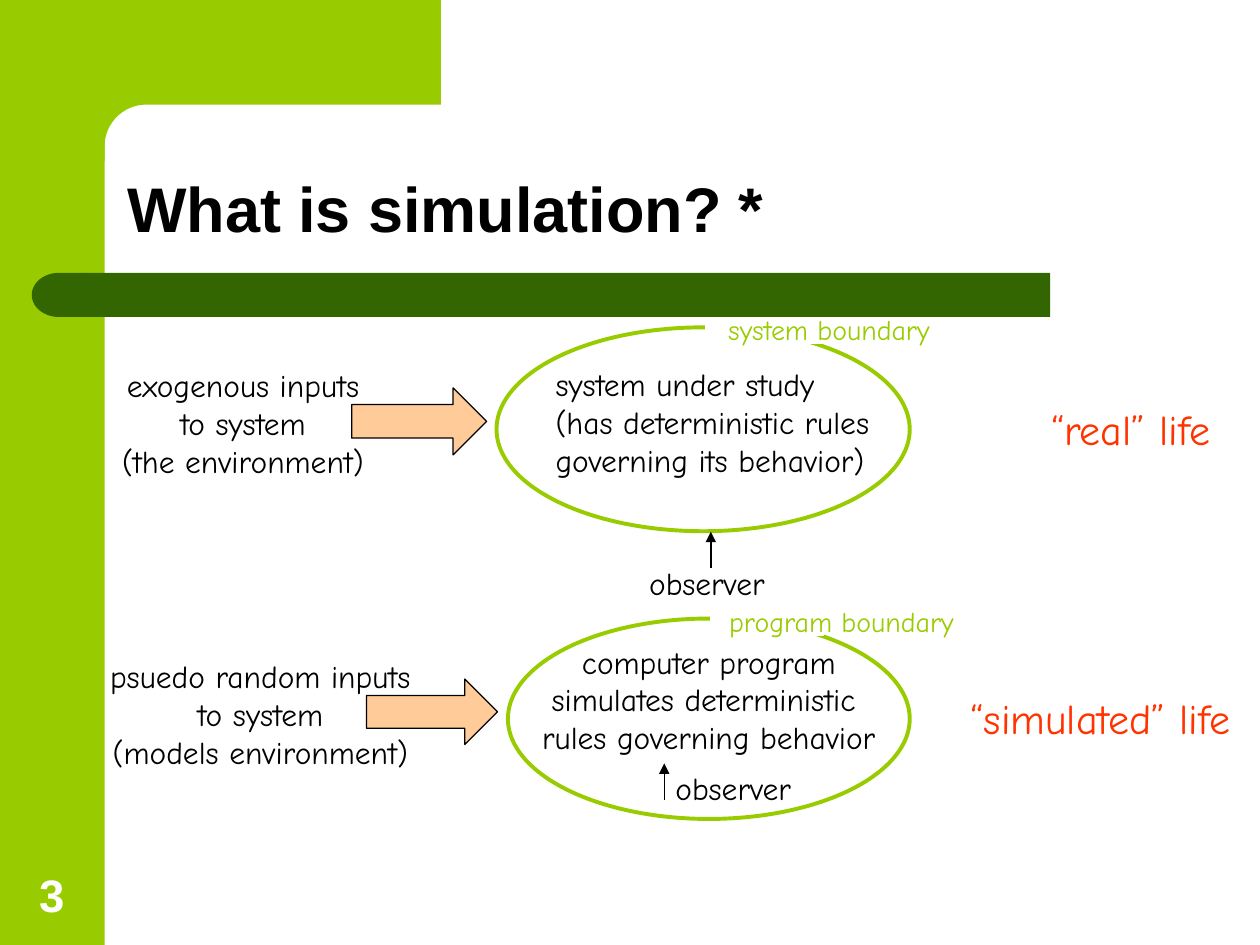
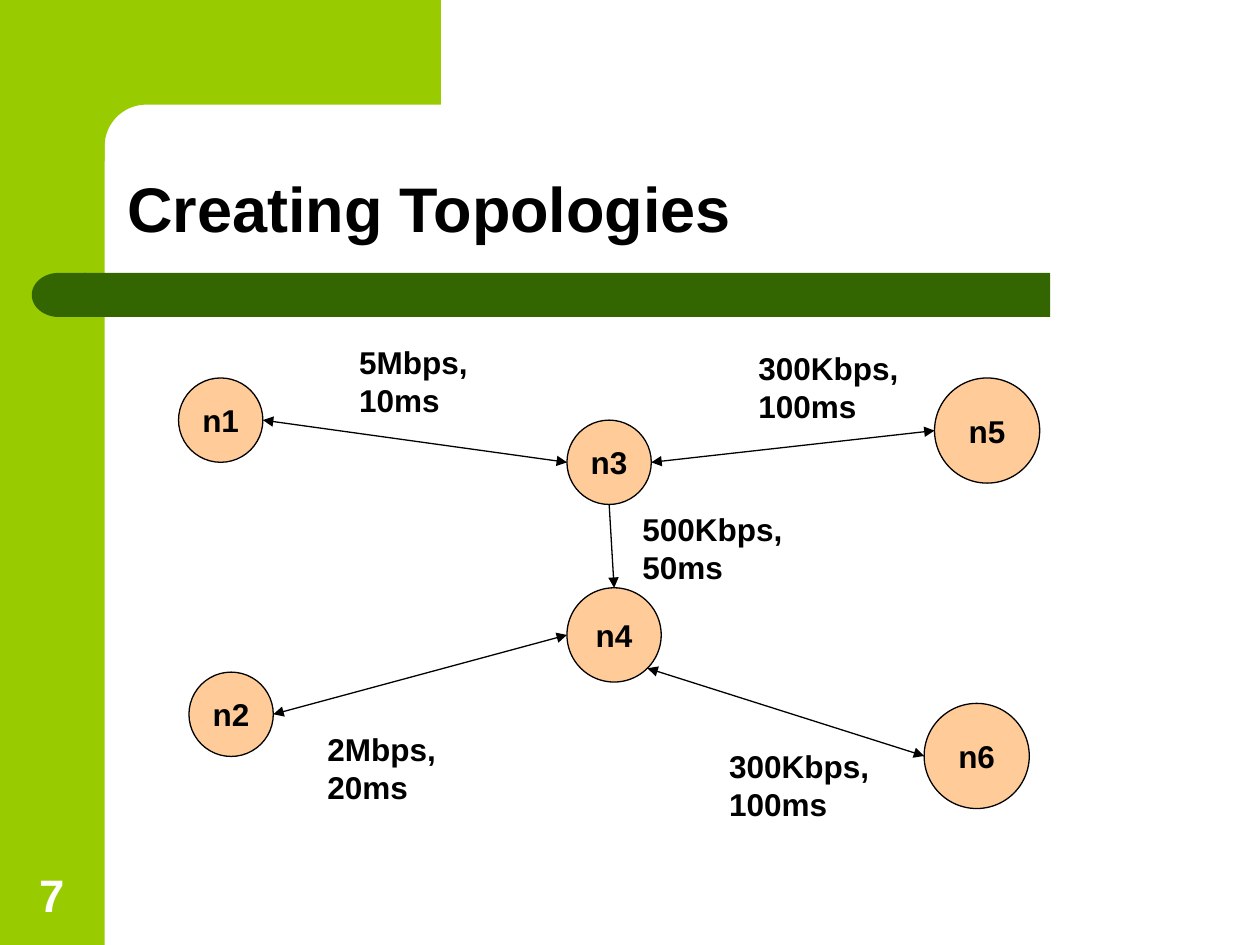
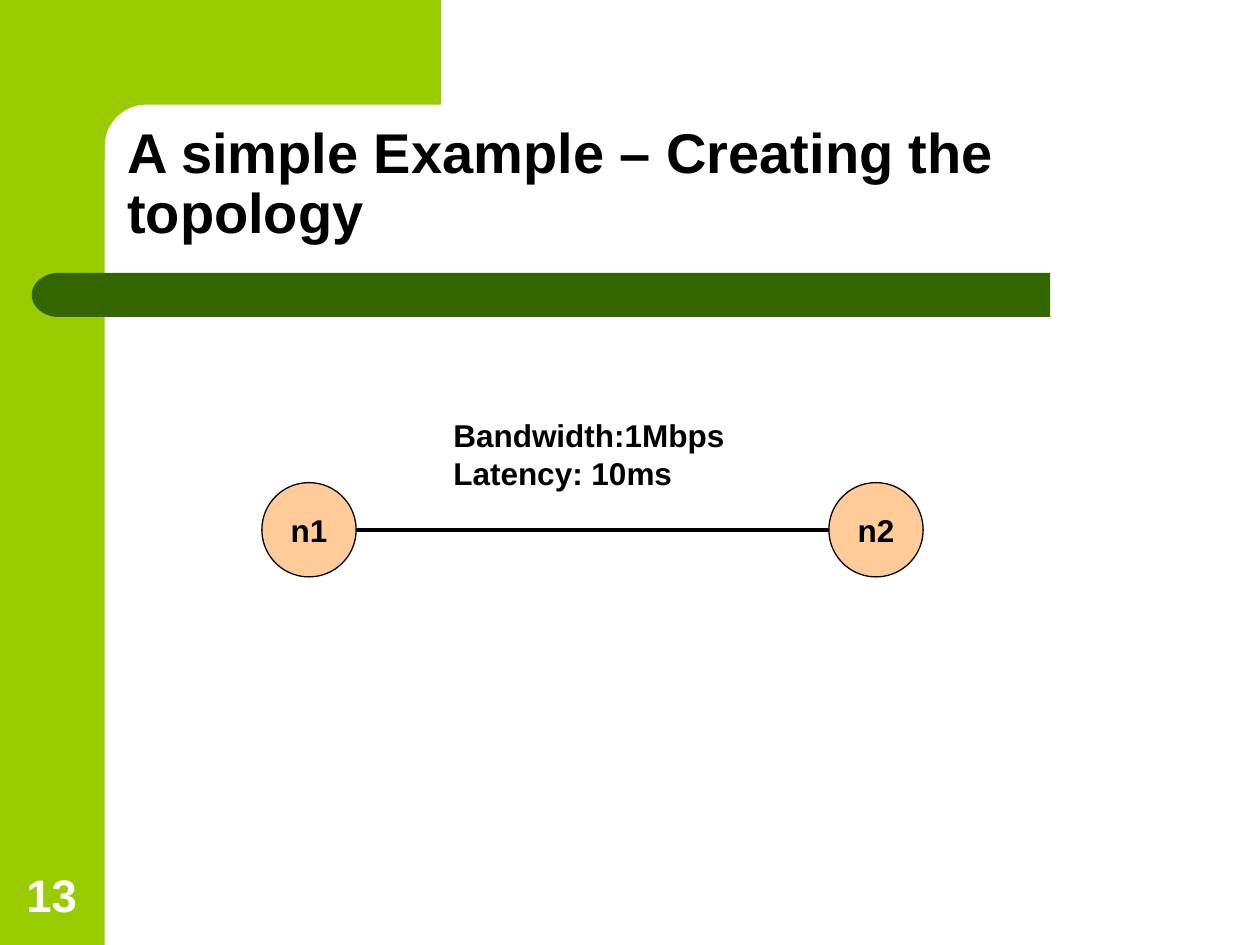
from math import cos, radians, sin

from lxml.etree import SubElement
from pptx import Presentation
from pptx.dml.color import RGBColor
from pptx.enum.shapes import MSO_CONNECTOR as Connector, MSO_SHAPE as Shape
from pptx.enum.text import MSO_ANCHOR as Anchor, MSO_AUTO_SIZE as AutoSize, PP_ALIGN as Align
from pptx.oxml.ns import qn
from pptx.util import Cm, Pt

# Shared look
LIME, FOREST, PEACH, RED = "99CC00", "336600", "FFCC99", "FF3300"
BLACK, WHITE = "000000", "FFFFFF"
HAND = {"name": "Comic Neue", "size": Pt(18), "bold": False}
PLAIN = {"name": "Arial", "size": Pt(18), "bold": True}
TITLE_BOX = (2.31, 2.31, 21.62, 2.77)
NUMBER_BOX = (0.23, 17.35, 1.63, 1.35)


def color(hex_value):
    return RGBColor.from_string(hex_value)


def apply(target, formats):
    for attribute, value in formats.items():
        setattr(target, attribute, value)


def within(box, part):
    """Shift a part's left and top by the corner of its region."""
    return (box[0] + part[0], box[1] + part[1], *part[2:])


def write(frame, text, font, hex_value=BLACK, align=Align.LEFT, spacing=None, **layout):
    frame.text = text
    apply(frame, {"auto_size": AutoSize.NONE, "word_wrap": False, **layout})
    for paragraph in frame.paragraphs:
        apply(paragraph, {"alignment": align, "line_spacing": spacing})
        apply(paragraph.font, font)
        paragraph.font.color.rgb = color(hex_value)


def add_text(slide, box, text, font, hex_value=BLACK, align=Align.LEFT, **layout):
    frame = slide.shapes.add_textbox(*map(Cm, box)).text_frame
    write(frame, text, font, hex_value, align, **layout)


def paint(shape, fill, line=None, width=0.75):
    shape.shadow.inherit = False
    shape.fill.solid()
    shape.fill.fore_color.rgb = color(fill)
    if line:
        shape.line.color.rgb = color(line)
        shape.line.width = Pt(width)
    else:
        shape.line.fill.background()
    return shape


def add_shape(slide, kind, box, fill, line=None, width=0.75):
    return paint(slide.shapes.add_shape(kind, *map(Cm, box)), fill, line, width)


def add_line(slide, start, end, width=0.75, heads=("tailEnd",)):
    connector = slide.shapes.add_connector(Connector.STRAIGHT, *map(Cm, (*start, *end)))
    connector.line.color.rgb = color(BLACK)
    connector.line.width = Pt(width)
    outline = connector.line._get_or_add_ln()
    for head in heads:
        SubElement(outline, qn(f"a:{head}"), type="triangle")
    SubElement(connector.element.spPr, qn("a:effectLst"))


# Frame of every slide: side band, rounded corner and title bar, kept in the layout
def move_frame_to_layout(slide):
    radius, inner, band_bottom = 0.84, 2.11, 2.11
    centre = inner + radius
    arc = [(centre - radius * sin(radians(a)), centre - radius * cos(radians(a)))
           for a in range(0, 91, 6)]
    outline = [(8.89, 0), (8.89, band_bottom), *arc, (inner, 3.25), (1.27, 3.25), (1.27, 0)]
    points = [(Cm(x), Cm(y)) for x, y in outline]
    builder = slide.shapes.build_freeform(*points[0])
    builder.add_line_segments(points[1:], close=True)

    bar_end = add_shape(slide, Shape.FLOWCHART_DELAY, (0.64, 5.5, 1.09, 0.89), FOREST)
    bar_end.rotation = 180
    frame = [
        add_shape(slide, Shape.RECTANGLE, (0, 0, inner, 19.05), LIME),
        paint(builder.convert_to_shape(), LIME),
        add_shape(slide, Shape.RECTANGLE, (1.7, 5.5, 19.47, 0.89), FOREST),
        bar_end,
    ]
    layout_tree = slide.slide_layout.shapes.element
    for position, part in enumerate(frame, start=2):
        layout_tree.insert(position, part.element)


def start_slide(deck, title, number, title_size=36):
    slide = deck.slides.add_slide(deck.slide_layouts[5])
    heading = slide.shapes.title
    apply(heading, dict(zip(("left", "top", "width", "height"), map(Cm, TITLE_BOX))))
    write(heading.text_frame, title, PLAIN | {"size": Pt(title_size)}, spacing=0.9,
          word_wrap=True, vertical_anchor=Anchor.BOTTOM)
    add_text(slide, NUMBER_BOX, number, PLAIN | {"size": Pt(26)}, WHITE, Align.CENTER,
             word_wrap=True, vertical_anchor=Anchor.BOTTOM)
    return slide


# Inputs flowing into a bounded system that is being observed
def add_scenario(slide, box, places, texts, rules_align):
    at = {part: within(box, place) for part, place in places.items()}
    add_shape(slide, Shape.OVAL, at["system"], WHITE, LIME, 2.25)
    add_text(slide, at["rules"], texts["rules"], HAND, align=rules_align)
    add_shape(slide, Shape.RIGHT_ARROW, at["flow"], PEACH, BLACK)
    add_text(slide, at["inputs"], texts["inputs"], HAND, align=Align.CENTER)
    add_shape(slide, Shape.RECTANGLE, at["gap"], WHITE, WHITE)
    add_text(slide, at["boundary"], texts["boundary"], HAND | {"size": Pt(16)}, LIME)
    x, y = at["pointer"]
    add_line(slide, (x, y + 0.74), (x, y))
    add_text(slide, at["observer"], "observer", HAND, align=Align.CENTER)
    add_text(slide, at["life"], texts["life"], HAND | {"size": Pt(24)}, RED, Align.CENTER)


# Round nodes joined by links; each link end is an angle on the node's rim
def add_network(slide, box, nodes, links, labels, width=0.75):
    for name, (x, y, size) in nodes.items():
        node = add_shape(slide, Shape.OVAL, within(box, (x, y, size, size)), PEACH, BLACK)
        write(node.text_frame, name, PLAIN, align=Align.CENTER, vertical_anchor=Anchor.MIDDLE)

    def rim(name, angle):
        x, y, size = nodes[name]
        radius, turn = size / 2, radians(angle)
        return within(box, (x + radius * (1 + cos(turn)), y + radius * (1 + sin(turn))))

    for start, end, heads in links:
        add_line(slide, rim(*start), rim(*end), width, heads)
    for text, place in labels:
        add_text(slide, within(box, place), text, PLAIN)


def simulation_slide(deck):
    slide = start_slide(deck, "What is simulation? *", "3")
    move_frame_to_layout(slide)
    add_scenario(
        slide, (2, 6.17),
        {"system": (8.01, 0.43, 8.33, 4.11), "rules": (8.95, 1.07, 7.06, 2.54),
         "flow": (5.09, 1.65, 2.72, 1.35), "inputs": (0.21, 1.09, 5.38, 2.54),
         "gap": (12.22, 0.28, 2.34, 0.48), "boundary": (12.43, 0, 4.57, 0.94),
         "pointer": (12.33, 4.55), "observer": (10.83, 5.08, 2.84, 1.02),
         "life": (18.93, 1.83, 3.73, 1.27)},
        {"rules": "system under study\n(has deterministic rules\ngoverning its behavior)",
         "inputs": "exogenous inputs\nto system\n(the environment)",
         "boundary": "system boundary", "life": "“real” life"},
        Align.LEFT)
    add_scenario(
        slide, (2, 12.07),
        {"system": (8.24, 0.4, 8.1, 4.04), "rules": (8.67, 0.76, 7.24, 2.54),
         "flow": (5.39, 1.62, 2.64, 1.32), "inputs": (-0.04, 1.06, 6.58, 2.54),
         "gap": (12.33, 0.27, 2.26, 0.48), "boundary": (12.45, 0, 5.05, 0.94),
         "pointer": (11.39, 3.32), "observer": (11.36, 3.3, 2.84, 1.02),
         "life": (17.3, 1.77, 5.77, 1.27)},
        {"rules": "computer program\nsimulates deterministic \nrules governing behavior",
         "inputs": "psuedo random inputs\nto system\n(models environment)",
         "boundary": "program boundary", "life": "“simulated” life"},
        Align.CENTER)


def topologies_slide(deck):
    slide = start_slide(deck, "Creating Topologies", "7")
    both, forward = ("headEnd", "tailEnd"), ("tailEnd",)
    right, corner, down, left = 0, 45, 90, 180
    add_network(
        slide, (3.6, 6.8),
        {"n1": (0, 0.82, 1.7), "n4": (7.83, 5.05, 1.9), "n2": (0.21, 6.75, 1.7),
         "n5": (15.24, 0.82, 2.12), "n6": (15.03, 7.38, 2.12), "n3": (7.83, 1.67, 1.7)},
        [(("n2", right), ("n4", left), both),
         (("n4", corner), ("n6", left), both),
         (("n1", right), ("n3", left), both),
         (("n3", down), ("n4", -down), forward),
         (("n3", right), ("n5", left), both)],
        [("5Mbps,\n10ms", (3.39, 0, 2.69, 1.78)),
         ("2Mbps,\n20ms", (2.75, 7.8, 2.69, 1.78)),
         ("300Kbps,\n100ms", (11.44, 0.11, 3.33, 1.78)),
         ("300Kbps,\n100ms", (10.85, 8.14, 3.33, 1.78)),
         ("500Kbps,\n50ms", (9.1, 3.36, 3.33, 1.78))])


def example_slide(deck):
    slide = start_slide(deck, "A simple Example – Creating the topology", "13", 32)
    add_network(
        slide, (5.28, 8.26),
        {"n1": (0, 1.47, 1.9), "n2": (11.43, 1.47, 1.9)},
        [(("n1", 0), ("n2", 180), ())],
        [("Bandwidth:1Mbps\nLatency: 10ms", (3.61, 0, 5.97, 1.78))],
        width=2.25)


def main():
    deck = Presentation()
    apply(deck, {"slide_width": Cm(25.4), "slide_height": Cm(19.05)})
    for build in (simulation_slide, topologies_slide, example_slide):
        build(deck)
    deck.save("out.pptx")


if __name__ == "__main__":
    main()
